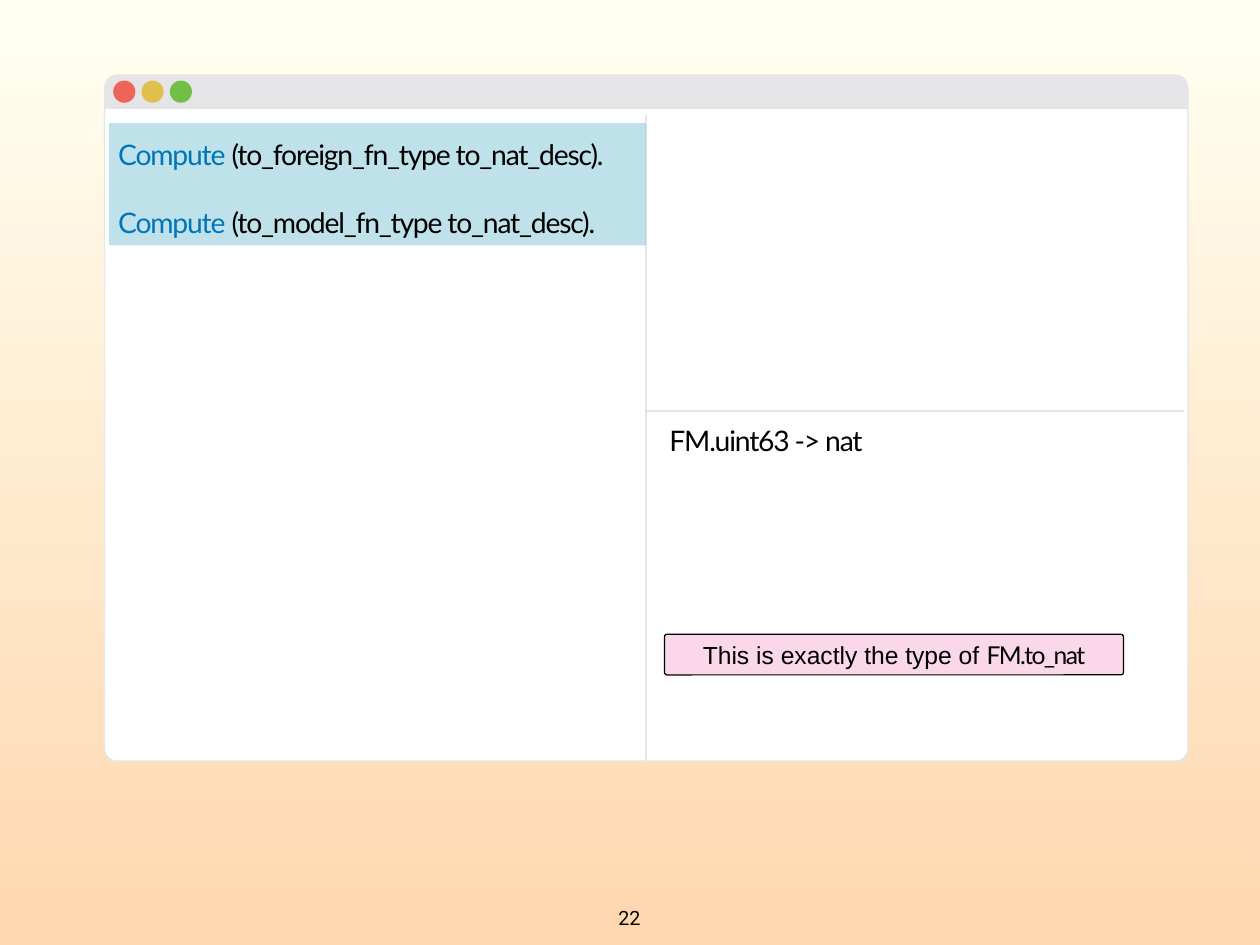
from pptx import Presentation
from pptx.dml.color import RGBColor
from pptx.enum.shapes import MSO_CONNECTOR as Line, MSO_SHAPE as Kind
from pptx.enum.text import MSO_ANCHOR as Anchor, PP_ALIGN as Align
from pptx.oxml.ns import qn
from pptx.util import Pt
from lxml.etree import SubElement

BLACK = RGBColor(0x00, 0x00, 0x00)
WHITE = RGBColor(0xFF, 0xFF, 0xFF)
GREY = RGBColor(0xE5, 0xE4, 0xE6)
RED = RGBColor(0xED, 0x65, 0x5A)
GOLD = RGBColor(0xE0, 0xC0, 0x4C)
GREEN = RGBColor(0x72, 0xBF, 0x47)
TEAL = RGBColor(0x54, 0xAF, 0xC5)
BLUE = RGBColor(0x00, 0x76, 0xBA)
PINK = RGBColor(0xE4, 0x17, 0x7D)
CREAM = RGBColor(0xFF, 0xFF, 0xF1)
PEACH = RGBColor(0xFF, 0xD7, 0xAF)

deck = Presentation()
deck.slide_width, deck.slide_height = Pt(1024), Pt(768)
slide = deck.slides.add_slide(deck.slide_layouts[6])
shapes = slide.shapes

# Backdrop
back = slide.background.fill
back.gradient()
back.gradient_angle = 270
for stop, color, place in zip(back.gradient_stops, (CREAM, PEACH), (0, 1)):
    stop.color.rgb, stop.position = color, place


def add_box(kind, box, fill, edge=None, round_by=None, alpha=None):
    shape = shapes.add_shape(kind, *map(Pt, box))
    shape.shadow.inherit = False
    shape.fill.solid()
    shape.fill.fore_color.rgb = fill
    if alpha:
        tint = shape.fill._xPr.find(qn("a:solidFill"))[0]
        SubElement(tint, qn("a:alpha"), val=str(alpha * 1000))
    if edge is None:
        shape.line.fill.background()
    else:
        shape.line.color.rgb = edge
        shape.line.width = Pt(1)
    if round_by is not None:
        shape.adjustments[0] = round_by
    return shape


def write(shape, lines, align=Align.LEFT, anchor=Anchor.TOP, wrap=True, gap=0):
    """Each line is a list of (text, font, size, color, spacing)."""
    frame = shape.text_frame
    form = dict.fromkeys(
        ("margin_left", "margin_top", "margin_right", "margin_bottom"), Pt(4))
    form.update(word_wrap=wrap, vertical_anchor=anchor)
    for name, value in form.items():
        setattr(frame, name, value)
    for i, line in enumerate(lines):
        para = frame.add_paragraph() if i else frame.paragraphs[0]
        para.alignment = align
        para.space_before = Pt(gap if i else 0)
        for text, face, size, color, track in line:
            run = para.add_run()
            run.text = text
            for name, value in {"name": face, "size": Pt(size)}.items():
                setattr(run.font, name, value)
            run.font.color.rgb = color
            if track:
                run._r.get_or_add_rPr().set("spc", str(round(track * 100)))


# Window frame and title bar
add_box(Kind.ROUNDED_RECTANGLE, (85, 62.5, 880.5, 556), WHITE, GREY, 0.018)
add_box(Kind.ROUNDED_RECTANGLE, (85, 60.5, 880.5, 27.5), GREY, round_by=0.366)
add_box(Kind.RECTANGLE, (85, 75, 880.5, 13.5), GREY)

# Pane dividers
for ends in ((525, 619, 525, 93.5), (962.5, 334, 524, 334)):
    rule = shapes.add_connector(Line.STRAIGHT, *map(Pt, ends))
    rule.line.color.rgb = GREY
    rule.line.width = Pt(2)
    SubElement(rule._element.spPr, qn("a:effectLst"))

# Window buttons
for i, color in enumerate((RED, GOLD, GREEN)):
    add_box(Kind.OVAL, (92 + 23 * i, 65.5, 18, 18), color)

# Result pane
result = shapes.add_textbox(Pt(540), Pt(340), Pt(411), Pt(36))
write(result, [[("FM.uint63 -> nat", "Lato", 23, BLACK, -1)]])

# Code pane with highlight
add_box(Kind.RECTANGLE, (88.5, 100, 436.5, 99.5), TEAL, alpha=37)
code = shapes.add_textbox(Pt(92), Pt(107.5), Pt(474.5), Pt(91.5))
calls = ("(to_foreign_fn_type to_nat_desc).", "(to_model_fn_type to_nat_desc).")
write(code, [[("Compute ", "Lato", 23, BLUE, -1), (call, "Lato", 23, BLACK, -1)]
             for call in calls], gap=27.6)

# Page number
page = shapes.add_textbox(Pt(498), Pt(732), Pt(27), Pt(27))
write(page, [[("22", "Roboto", 16, BLACK, 0)]], Align.CENTER, wrap=False)

# Note
note = add_box(Kind.ROUNDED_RECTANGLE, (540, 515.5, 373, 33), PINK, BLACK, 0.063, 17)
write(note, [[("This is exactly the type of ", "Arial", 20, BLACK, 0),
              ("FM.to_nat", "Lato", 20, BLACK, -1.3)]], Align.CENTER, Anchor.MIDDLE)

deck.save("out.pptx")
